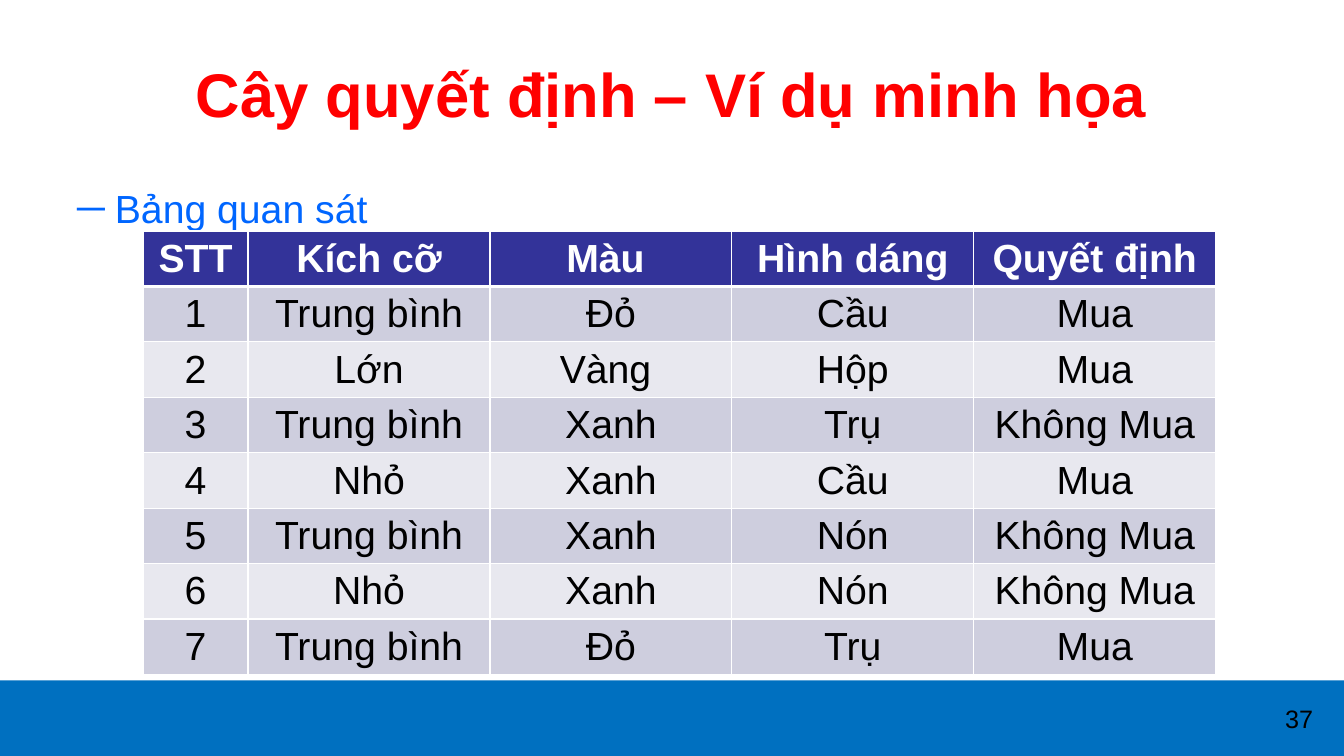
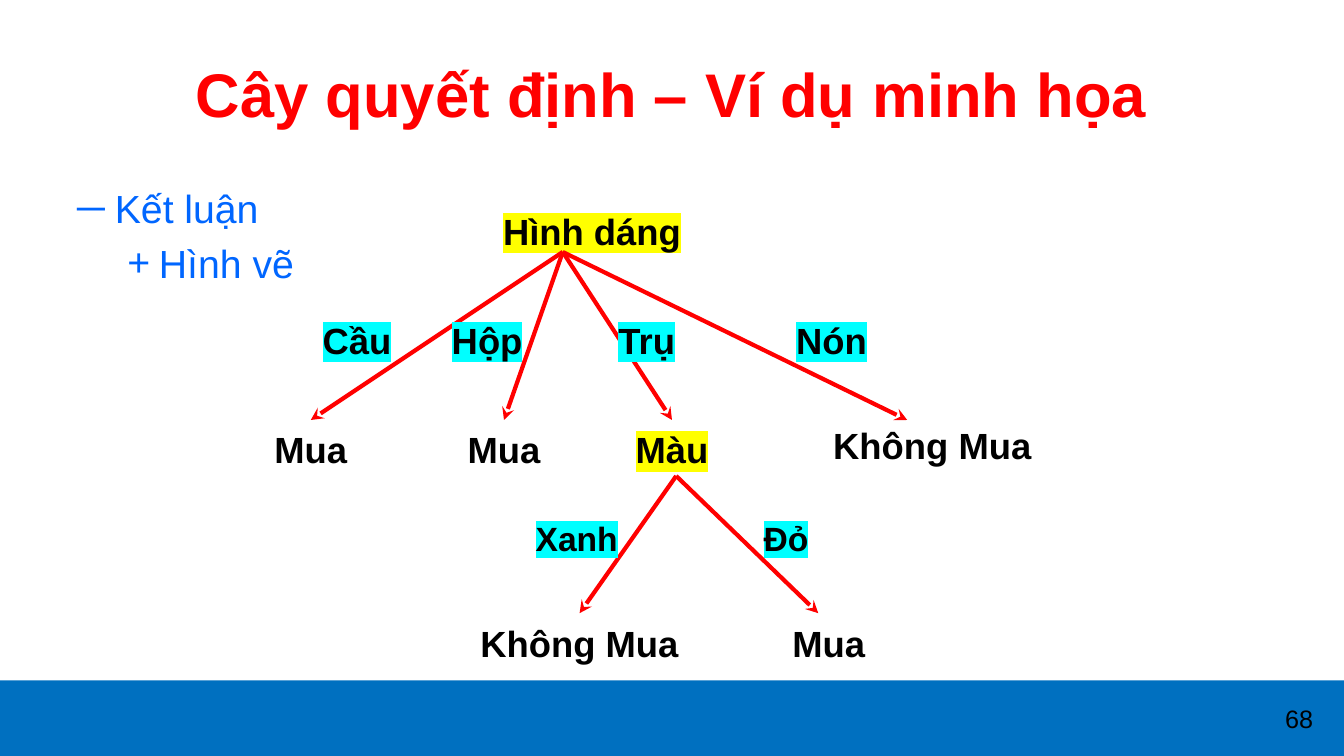
from lxml import etree
from pptx import Presentation
from pptx.dml.color import RGBColor
from pptx.enum.shapes import MSO_CONNECTOR, MSO_SHAPE
from pptx.enum.text import MSO_ANCHOR, PP_ALIGN
from pptx.oxml.ns import qn
from pptx.util import Pt

CENTER, LEFT = PP_ALIGN.CENTER, PP_ALIGN.LEFT
TOP, MIDDLE = MSO_ANCHOR.TOP, MSO_ANCHOR.MIDDLE
RECTANGLE, STRAIGHT = MSO_SHAPE.RECTANGLE, MSO_CONNECTOR.STRAIGHT
TOP_SIDE = 0

FONT = "Arial"
COLORS = {
    "band": "0070C0", "title": "FF0000", "body": "0066FF", "text": "000000",
    "white": "FFFFFF", "header": "333399", "odd": "CECEDE", "even": "E8E8EF",
    "arrow": "FF0000", "attribute": "FFFF00", "value": "00FFFF",
}
WIDTH, HEIGHT, BAND_HEIGHT = 960, 540, 54
TITLE = "Cây quyết định – Ví dụ minh họa"
BULLETS = [("─", 27, 27), ("+", 58.5, 22.5)]

TABLE_POSITION = (102.2, 165)
COLUMN_WIDTHS = [75] + [172.8] * 4
ROW_HEIGHT = 38.4
OBSERVATIONS = [
    ("STT", "Kích cỡ", "Màu ", "Hình dáng", "Quyết định"),
    ("1", "Trung bình", "Đỏ", "Cầu", "Mua"),
    ("2", "Lớn", "Vàng ", "Hộp", "Mua"),
    ("3", "Trung bình", "Xanh", "Trụ", "Không Mua"),
    ("4", "Nhỏ", "Xanh", "Cầu", "Mua"),
    ("5", "Trung bình", "Xanh", "Nón", "Không Mua"),
    ("6", "Nhỏ", "Xanh", "Nón", "Không Mua"),
    ("7", "Trung bình", "Đỏ", "Trụ", "Mua"),
]

NODES = {
    "shape": ("Hình dáng", (336, 144, 174, 42), "attribute"),
    "sphere": ("Mua", (162, 300, 120, 42), None),
    "box": ("Mua", (300, 300, 120, 42), None),
    "color": ("Màu", (420, 300, 120, 42), "attribute"),
    "cone": ("Không Mua", (570, 294, 192, 48), None),
    "green": ("Không Mua", (327, 438, 174, 42), None),
    "red": ("Mua", (532, 438, 120, 42), None),
}
ROOT_START, COLOR_START = (402, 180), (483, 340)
BRANCHES = [
    (ROOT_START, "sphere", None),
    (ROOT_START, "box", None),
    (ROOT_START, "color", None),
    (ROOT_START, "cone", (648, 300)),
    (COLOR_START, "green", None),
    (COLOR_START, "red", (584.5, 438)),
]
BRANCH_LABELS = [
    ("Cầu", (201, 222, 108, 42), 26),
    ("Hộp", (294, 222, 108, 42), 26),
    ("Trụ", (408, 222, 108, 42), 26),
    ("Nón", (540, 222, 108, 42), 26),
    ("Xanh", (361, 366, 102, 36), 24),
    ("Đỏ", (510.5, 366, 102, 36), 24),
]


def rgb(name):
    return RGBColor.from_string(COLORS[name])


def add_color(parent, tag, name):
    holder = etree.SubElement(parent, qn(tag))
    etree.SubElement(holder, qn("a:srgbClr"), val=COLORS[name])
    return holder


def write(para, text, size=28, color="text", bold=False, align=CENTER, highlight=None):
    para.alignment = align
    span = para.add_run()
    span.text = text
    span.font.size, span.font.bold, span.font.name = Pt(size), bold, FONT
    span.font.color.rgb = rgb(color)
    if highlight:
        properties = span.font._element
        mark = add_color(properties, "a:highlight", highlight)
        properties.find(qn("a:solidFill")).addnext(mark)


def add_text(page, text, frame, anchor=MIDDLE, **style):
    box = page.shapes.add_textbox(*map(Pt, frame))
    box.text_frame.word_wrap = True
    box.text_frame.vertical_anchor = anchor
    write(box.text_frame.paragraphs[0], text, **style)
    return box


def add_page(deck, number):
    page = deck.slides.add_slide(deck.slide_layouts[6])
    band_top = HEIGHT - BAND_HEIGHT
    band = page.shapes.add_shape(RECTANGLE, 0, Pt(band_top), Pt(WIDTH), Pt(BAND_HEIGHT))
    band.shadow.inherit = False
    band.fill.solid()
    band.fill.fore_color.rgb = rgb("band")
    band.line.fill.background()
    add_text(page, number, (896, 498.5, 64, 29), anchor=TOP, size=18)
    add_text(page, TITLE, (48, 21.6, 864, 90), size=44, color="title", bold=True)
    return page


def add_outline(page, lines):
    box = page.shapes.add_textbox(Pt(48), Pt(128), Pt(864), Pt(354))
    box.text_frame.word_wrap = True
    for level, text in enumerate(lines):
        para = box.text_frame.add_paragraph() if level else box.text_frame.paragraphs[0]
        bullet, margin, hanging = BULLETS[level]
        properties = para._p.get_or_add_pPr()
        properties.set("marL", str(Pt(margin)))
        properties.set("indent", str(-Pt(hanging)))
        etree.SubElement(properties, qn("a:buFont"), typeface=FONT)
        etree.SubElement(properties, qn("a:buChar"), char=bullet)
        para.level = level
        if level:
            para.space_before = Pt(6)
        write(para, text, color="body", align=LEFT)


def set_borders(cell, **widths):
    properties = cell._tc.get_or_add_tcPr()
    for position, side in enumerate("LRTB"):
        line = etree.Element(qn(f"a:ln{side}"), w=str(Pt(widths.get(side, 1))))
        add_color(line, "a:solidFill", "white")
        properties.insert(position, line)


def add_observations(page):
    left, top = TABLE_POSITION
    table = page.shapes.add_table(
        len(OBSERVATIONS), len(COLUMN_WIDTHS), Pt(left), Pt(top),
        Pt(sum(COLUMN_WIDTHS)), Pt(ROW_HEIGHT * len(OBSERVATIONS))).table
    for column, width in zip(table.columns, COLUMN_WIDTHS):
        column.width = Pt(width)
    for index, values in enumerate(OBSERVATIONS):
        table.rows[index].height = Pt(ROW_HEIGHT)
        header = index == 0
        fill = "header" if header else "odd" if index % 2 else "even"
        for cell, value in zip(table.rows[index].cells, values):
            cell.fill.solid()
            cell.fill.fore_color.rgb = rgb(fill)
            cell.vertical_anchor = MIDDLE
            cell.margin_top = cell.margin_bottom = Pt(3)
            write(cell.text_frame.paragraphs[0], value, bold=header,
                  color="white" if header else "text")
            set_borders(cell, B=3 if header else 1, T=3 if index == 1 else 1)


def add_arrow(page, start, end, target=None):
    arrow = page.shapes.add_connector(STRAIGHT, *map(Pt, start + end))
    if target is not None:
        arrow.end_connect(target, TOP_SIDE)
    arrow.line.color.rgb = rgb("arrow")
    arrow.line.width = Pt(3)
    etree.SubElement(arrow.line._get_or_add_ln(), qn("a:tailEnd"), type="stealth")
    etree.SubElement(arrow._element.spPr, qn("a:effectLst"))


def add_tree(page):
    boxes = {
        key: add_text(page, text, frame, size=26, bold=True, highlight=highlight)
        for key, (text, frame, highlight) in NODES.items()
    }
    for start, key, end in BRANCHES:
        if end:
            add_arrow(page, start, end)
        else:
            left, top, width, _ = NODES[key][1]
            add_arrow(page, start, (left + width / 2, top), boxes[key])
    for text, frame, size in BRANCH_LABELS:
        add_text(page, text, frame, size=size, bold=True, highlight="value")


def main():
    deck = Presentation()
    deck.slide_width, deck.slide_height = Pt(WIDTH), Pt(HEIGHT)
    table_page = add_page(deck, "37")
    add_outline(table_page, ["Bảng quan sát"])
    add_observations(table_page)
    tree_page = add_page(deck, "68")
    add_outline(tree_page, ["Kết luận", "Hình vẽ"])
    add_tree(tree_page)
    deck.save("out.pptx")


if __name__ == "__main__":
    main()
